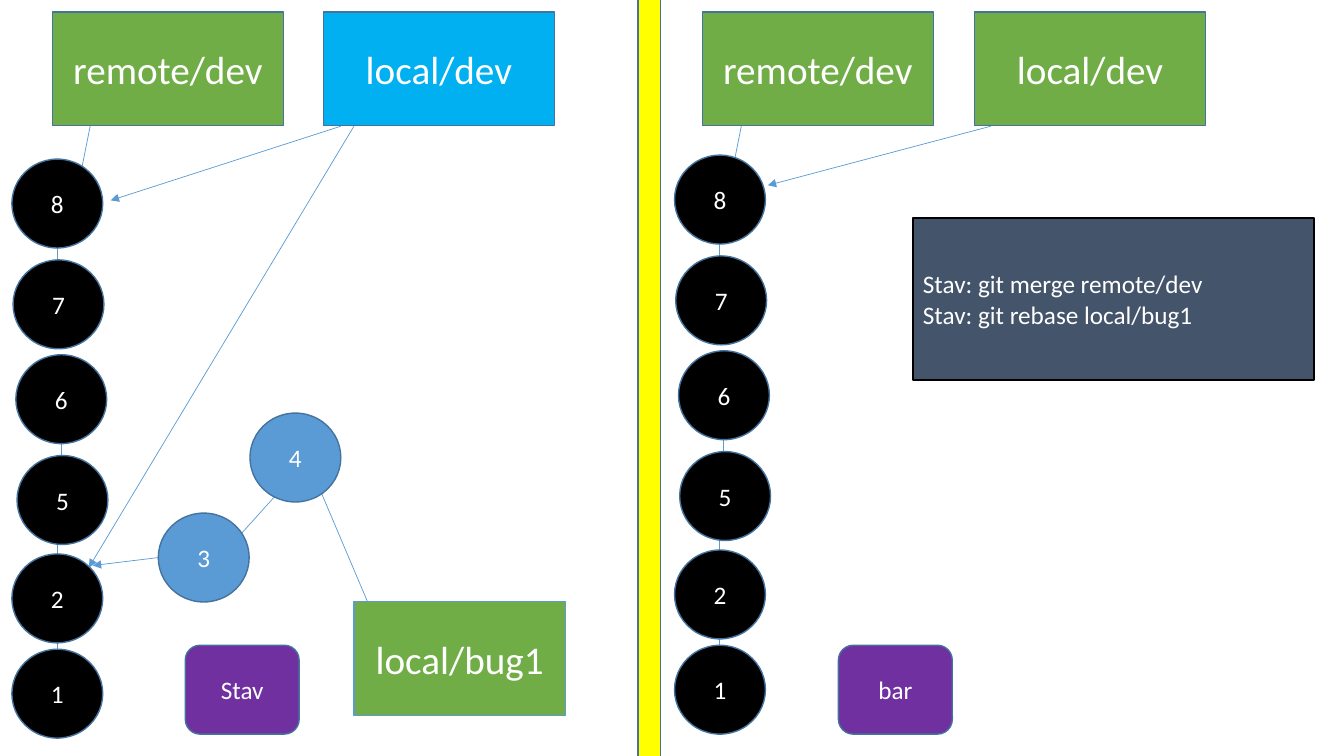
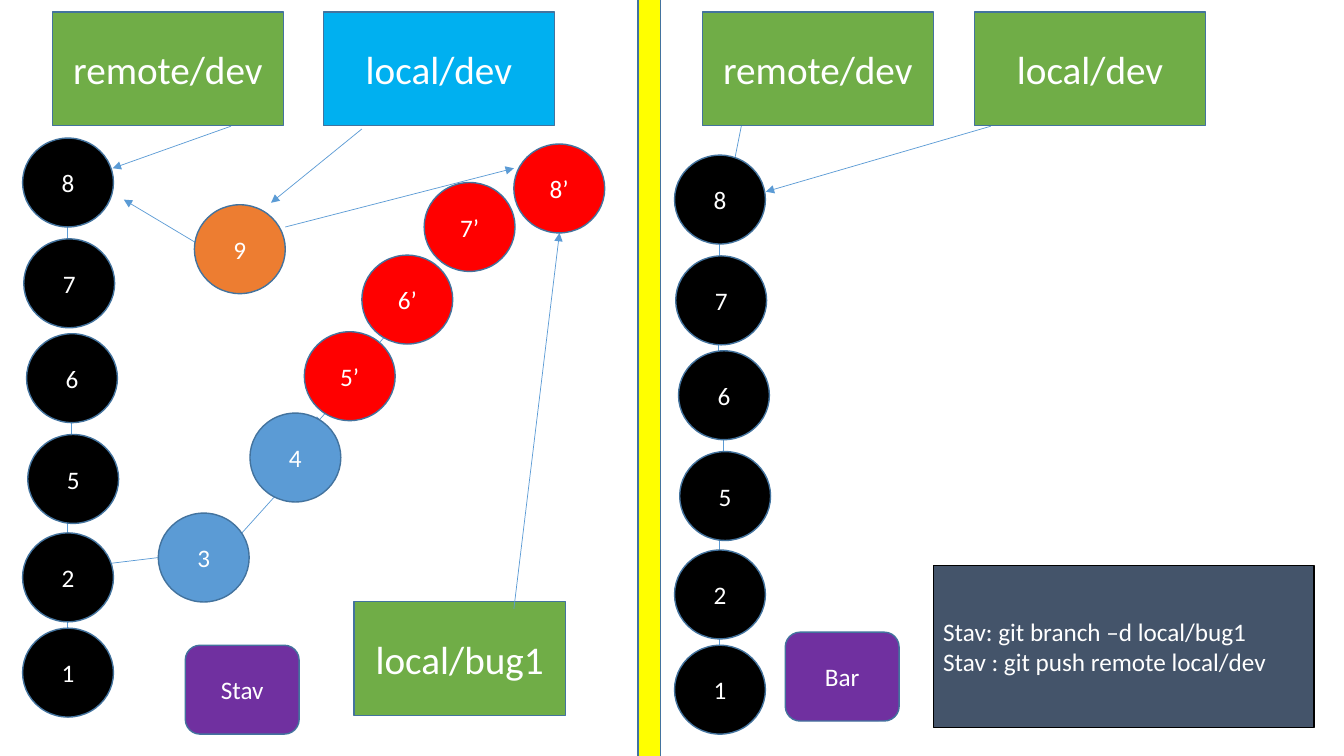
from pptx import Presentation
from pptx.dml.color import RGBColor
from pptx.enum.shapes import MSO_CONNECTOR, MSO_SHAPE
from pptx.enum.text import MSO_ANCHOR, PP_ALIGN
from pptx.oxml.ns import qn
from pptx.util import Cm, Pt
from lxml import etree

LINE = MSO_CONNECTOR.STRAIGHT
RECT = MSO_SHAPE.RECTANGLE
ROUND = MSO_SHAPE.ROUNDED_RECTANGLE
OVAL = MSO_SHAPE.OVAL
LEFT, MID = PP_ALIGN.LEFT, PP_ALIGN.CENTER
CENTER = MSO_ANCHOR.MIDDLE

FONT = "Calibri"
WHITE, BLACK = "FFFFFF", "000000"
GREEN, CYAN, BLUE = "70AD47", "00B0F0", "5B9BD5"
RED, ORANGE, PURPLE = "FF0000", "ED7D31", "7030A0"
YELLOW, SLATE, EDGE = "FFFF00", "44546A", "43739E"

TRUNK = [("1", 0, 12.35), ("2", 0, 9.95), ("5", 0.13, 7.47),
         ("6", 0.1, 4.93), ("7", 0.03, 2.54), ("8", 0, 0)]
LINKS = [(1.14, 1.96), (1.24, 6.86), (1.14, 9.52), (1.14, 11.1)]
LINK = 1.71


def color(code):
    return RGBColor.from_string(code)


def write(shape, text, size=18, align=MID):
    frame = shape.text_frame
    frame.word_wrap = True
    frame.vertical_anchor = CENTER
    frame.text = text
    for para in frame.paragraphs:
        para.alignment = align
        para.font.name = FONT
        para.font.size = Pt(size)
        para.font.color.rgb = color(WHITE)


def block(slide, kind, box, fill, text="", edge=EDGE, **form):
    shape = slide.shapes.add_shape(kind, *map(Cm, box))
    shape.shadow.inherit = False
    shape.fill.solid()
    shape.fill.fore_color.rgb = color(fill)
    shape.line.color.rgb = color(edge)
    shape.line.width = Pt(1)
    if text:
        write(shape, text, **form)


def arrow(slide, *ends):
    link = slide.shapes.add_connector(LINE, *map(Cm, ends))
    link.line.color.rgb = color(BLUE)
    link.line.width = Pt(0.5)
    etree.SubElement(link.line._get_or_add_ln(), qn("a:tailEnd"), type="triangle")
    etree.SubElement(link._element.spPr, qn("a:effectLst"))


def commit(slide, name, x, y, fill=BLACK):
    block(slide, OVAL, (x, y, 2.29, 2.24), fill, name)


def trunk(slide, left, top):
    for x, y in LINKS:
        arrow(slide, left + x, top + y, left + x, top + y + LINK)
    for name, x, y in TRUNK:
        commit(slide, name, left + x, top + y)


def branch(slide, name, x, y=0.3, wide=5.82, fill=GREEN, edge=EDGE):
    block(slide, RECT, (x, y, wide, 2.87), fill, name, edge, size=28)


def user(slide, name, x, y):
    block(slide, ROUND, (x, y, 2.87, 2.24), PURPLE, name)


def note(slide, text, x, y, wide):
    block(slide, RECT, (x, y, wide, 4.09), SLATE, text, BLACK, align=LEFT)


def bug(slide, edge=EDGE):
    arrow(slide, 3.99, 14.05, 2.34, 14.25)
    arrow(slide, 7.14, 12.27, 5.79, 13.77)
    branch(slide, "local/bug1", 8.92, 15.16, 5.33, edge=edge)
    commit(slide, "3", 3.99, 12.93, BLUE)
    commit(slide, "4", 6.3, 10.41, BLUE)


def common(slide):
    branch(slide, "remote/dev", 1.32)
    branch(slide, "local/dev", 8.15, fill=CYAN)
    block(slide, RECT, (16.08, -0.53, 0.56, 21.79), YELLOW)
    arrow(slide, 18.82, 2.49, 18.14, 5.89)
    branch(slide, "remote/dev", 17.7)
    branch(slide, "local/dev", 24.56)
    user(slide, "Stav", 4.67, 16.26)
    trunk(slide, 17, 3.91)


def merge(slide):
    arrow(slide, 9.35, 15.37, 8, 12.19)
    arrow(slide, 8.92, 3.18, 2.24, 14.3)
    arrow(slide, 2.41, 2.49, 1.73, 5.89)
    arrow(slide, 8.59, 3.18, 2.79, 5.05)
    bug(slide, BLUE)
    arrow(slide, 24.97, 3.18, 19.35, 4.67)
    common(slide)
    user(slide, "bar", 21.13, 16.26)
    note(slide, "Stav: git merge remote/dev\nStav: git rebase local/bug1",
         23.01, 5.49, 10.11)
    trunk(slide, 0.3, 4.01)


def push(slide):
    arrow(slide, 5.11, 6.22, 3.12, 5.03)
    arrow(slide, 7.19, 5.72, 12.95, 4.24)
    arrow(slide, 18.11, 8.15, 18.11, 9.86)
    arrow(slide, 24.97, 3.18, 19.3, 4.83)
    common(slide)
    user(slide, "Bar", 19.79, 15.93)
    note(slide, "Stav: git branch –d local/bug1\nStav : git push remote local/dev",
         23.52, 14.25, 9.6)
    arrow(slide, 9.25, 9.25, 7.92, 10.72)
    bug(slide)
    arrow(slide, 12.95, 15.34, 14.1, 5.87)
    arrow(slide, 9.83, 8.33, 8.51, 9.83)
    for name, x, y in [("5’", 7.67, 8.36), ("6’", 9.12, 6.43),
                       ("7’", 10.69, 4.6), ("8’", 12.95, 3.63)]:
        commit(slide, name, x, y, RED)
    trunk(slide, 0.57, 3.48)
    commit(slide, "9", 4.9, 5.16, ORANGE)
    arrow(slide, 9.12, 3.25, 6.83, 5.11)
    arrow(slide, 5.82, 3.18, 2.84, 4.24)


def main():
    deck = Presentation()
    deck.slide_width, deck.slide_height = Cm(33.87), Cm(19.05)
    for draw in (merge, push):
        draw(deck.slides.add_slide(deck.slide_layouts[6]))
    deck.save("out.pptx")


main()
